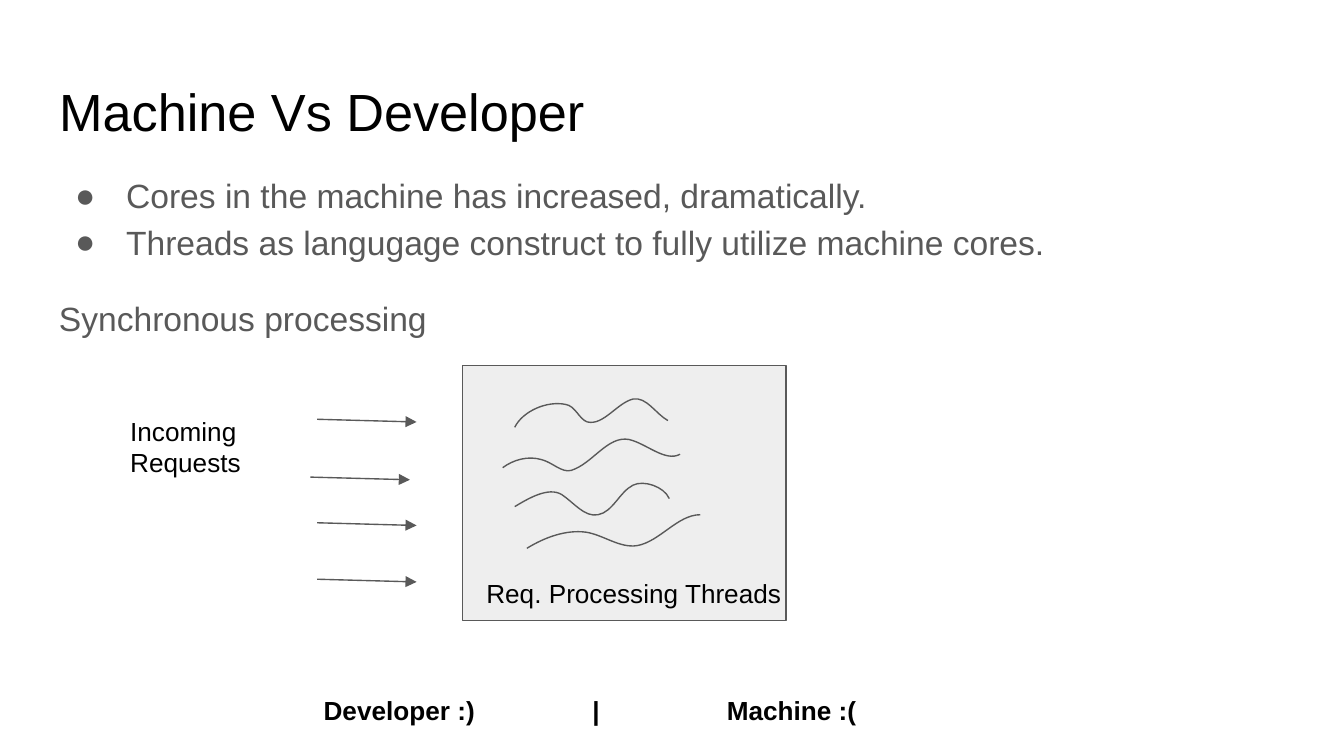
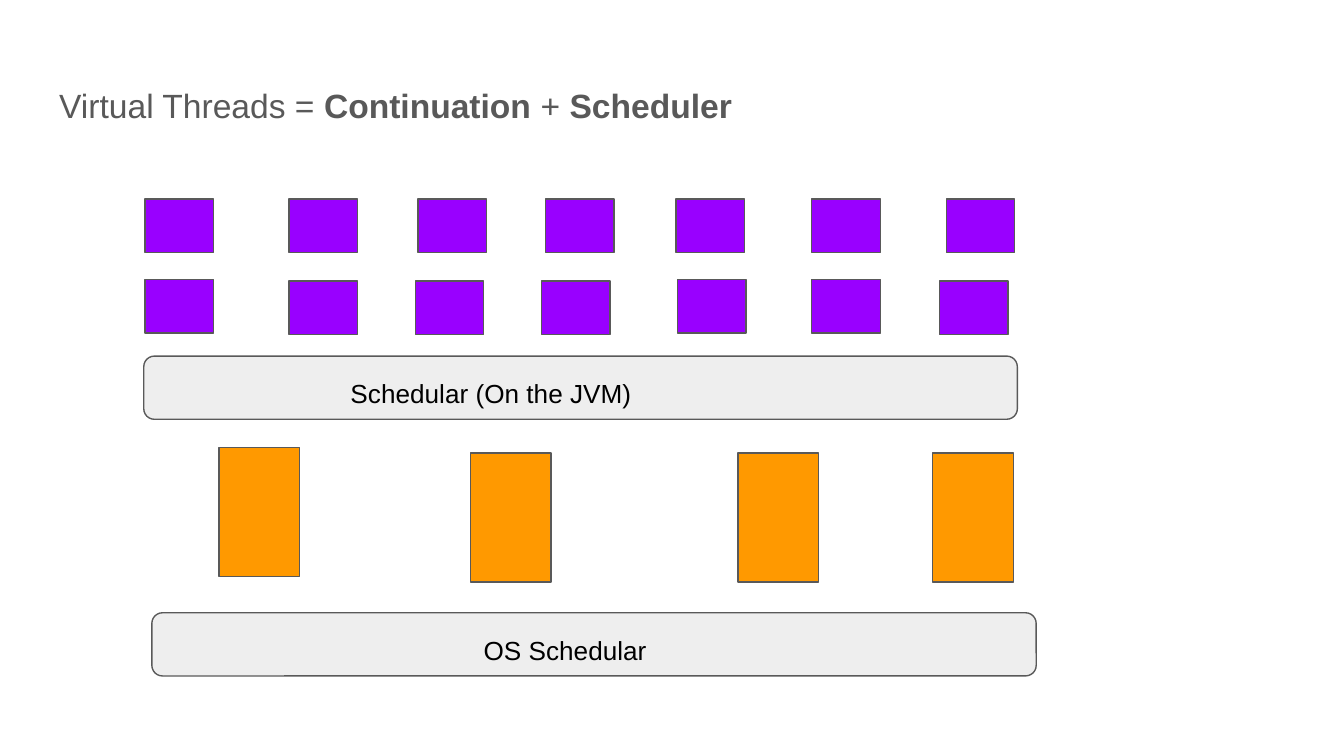
import pptx
import pptx.dml.color
import pptx.enum.shapes
import pptx.enum.text
import pptx.oxml
import pptx.oxml.ns
import pptx.util
from lxml import etree

Inches = pptx.util.Inches
Pt = pptx.util.Pt
qn = pptx.oxml.ns.qn
SHAPES = pptx.enum.shapes.MSO_SHAPE

FONT = "Arial"
BLACK, GREY, PALE = "000000", "595959", "EEEEEE"
PURPLE, ORANGE = "9900FF", "FF9900"
TITLE_BOX = (0.34, 0.49, 9.32, 0.63)

BULLETS = (
    "Cores in the machine has increased, dramatically.",
    "Threads as langugage construct to fully utilize machine cores.",
)
REQUEST_ARROWS = ((0.05, 0), (0, 0.43), (0.05, 0.77), (0.05, 1.19))
THREAD_WAVES = (
    ((0.39, 0.46), (0.45, 0.34), (0.63, 0.26), (0.77, 0.29), (0.84, 0.3), (0.87, 0.4), (0.93, 0.42),
     (1.05, 0.45), (1.15, 0.28), (1.27, 0.25), (1.37, 0.23), (1.44, 0.36), (1.53, 0.41)),
    ((0.39, 1.05), (0.49, 0.99), (0.64, 0.9), (0.74, 0.96), (0.83, 1.02), (0.91, 1.13), (1.01, 1.11),
     (1.12, 1.09), (1.17, 0.94), (1.27, 0.89), (1.35, 0.85), (1.5, 0.9), (1.54, 0.99)),
    ((0.3, 0.76), (0.38, 0.7), (0.49, 0.67), (0.59, 0.7), (0.67, 0.72), (0.74, 0.8), (0.81, 0.78),
     (0.97, 0.73), (1.08, 0.52), (1.24, 0.55), (1.37, 0.58), (1.51, 0.72), (1.62, 0.66)),
    ((0.48, 1.36), (0.61, 1.28), (0.77, 1.22), (0.92, 1.24), (1.05, 1.26), (1.17, 1.36), (1.3, 1.34),
     (1.47, 1.31), (1.6, 1.11), (1.77, 1.11)),
)
VIRTUAL_THREADS = (
    (0, 0), (1.07, 0), (2.03, 0), (2.98, 0), (3.95, 0), (4.96, 0), (5.96, 0),
    (0, 0.6), (1.07, 0.61), (2.01, 0.61), (2.95, 0.61), (3.96, 0.6), (4.96, 0.6), (5.91, 0.61),
)
CARRIER_THREADS = ((0, 0), (1.87, 0.04), (3.86, 0.04), (5.31, 0.04))


def color(code):
    return pptx.dml.color.RGBColor.from_string(code)


def inches(values):
    return [Inches(value) for value in values]


def outline(shape):
    shape.line.color.rgb = color(GREY)
    shape.line.width = Pt(0.75)


def prepare_frame(shape):
    frame = shape.text_frame
    frame.word_wrap = True
    frame.auto_size = pptx.enum.text.MSO_AUTO_SIZE.NONE
    frame.vertical_anchor = pptx.enum.text.MSO_ANCHOR.TOP
    frame.margin_left = frame.margin_right = Inches(0.1)
    frame.margin_top = frame.margin_bottom = Inches(0.1)
    return frame


def add_span(para, text, size, code, bold=False):
    para.alignment = pptx.enum.text.PP_ALIGN.LEFT
    span = para.add_run()
    span.text = text
    span.font.name = FONT
    span.font.size = Pt(size)
    span.font.bold = bold
    span.font.color.rgb = color(code)


def next_para(frame, index):
    return frame.add_paragraph() if index else frame.paragraphs[0]


def add_page(deck, spans, size, code, spacing=1.0):
    page = deck.slides.add_slide(deck.slide_layouts[5])
    title = page.shapes.title
    title.left, title.top, title.width, title.height = inches(TITLE_BOX)
    para = prepare_frame(title).paragraphs[0]
    para.line_spacing = spacing
    for text, bold in spans:
        add_span(para, text, size, code, bold)
    return page


def add_label(page, box, lines, bold=False):
    frame = prepare_frame(page.shapes.add_textbox(*inches(box)))
    for index, line in enumerate(lines):
        add_span(next_para(frame, index), line, 14, BLACK, bold)
    return frame


def add_verdict(page, box):
    frame = add_label(page, box, ("Developer :) \t|\tMachine :(",), bold=True)
    stops = etree.SubElement(frame.paragraphs[0]._p.get_or_add_pPr(), qn("a:tabLst"))
    for position in (2, 3):
        etree.SubElement(stops, qn("a:tab"), pos=str(Inches(position)), algn="l")


def add_block(page, box, fill, kind=SHAPES.RECTANGLE):
    block = page.shapes.add_shape(kind, *inches(box))
    block.shadow.inherit = False
    block.fill.solid()
    block.fill.fore_color.rgb = color(fill)
    outline(block)


def add_arrow(page, left, top):
    arrow = page.shapes.add_connector(
        pptx.enum.shapes.MSO_CONNECTOR.STRAIGHT, *inches((left, top, left + 0.74, top + 0.02)))
    outline(arrow)
    etree.SubElement(arrow.line._get_or_add_ln(), qn("a:tailEnd"), type="triangle")
    etree.SubElement(arrow._element.spPr, qn("a:effectLst"))


def add_wave(page, points):
    start, *rest = [inches(point) for point in points]
    builder = page.shapes.build_freeform(*start)
    builder.add_line_segments(rest, close=False)
    wave = builder.convert_to_shape()
    wave.shadow.inherit = False
    wave.fill.background()
    outline(wave)
    segments = list(wave._element.iter(qn("a:lnTo")))
    for first in range(0, len(segments), 3):
        curve = etree.Element(qn("a:cubicBezTo"))
        segments[first].addprevious(curve)
        for segment in segments[first:first + 3]:
            curve.append(segment[0])
            segment.getparent().remove(segment)


def add_summary(page, box):
    frame = prepare_frame(page.shapes.add_textbox(*inches(box)))
    for index, text in enumerate(BULLETS):
        para = next_para(frame, index)
        para.line_spacing = 1.15
        add_span(para, text, 18, GREY)
        layout = para._p.get_or_add_pPr()
        layout.set("marL", str(Inches(0.5)))
        layout.set("indent", str(Inches(-0.38)))
        tint = etree.SubElement(layout, qn("a:buClr"))
        etree.SubElement(tint, qn("a:srgbClr"), val=GREY)
        etree.SubElement(layout, qn("a:buFont"), typeface=FONT)
        etree.SubElement(layout, qn("a:buChar"), char="●")
    para = frame.add_paragraph()
    para.line_spacing = 1.15
    para.space_before = para.space_after = Pt(16)
    add_span(para, "Synchronous processing", 18, GREY)


def add_requests(page, box):
    left, top, width, height = box
    add_label(page, box, ("Incoming", "Requests"))
    for across, down in REQUEST_ARROWS:
        add_arrow(page, left + width + 0.22 + across, top + 0.13 + down)


def add_thread_panel(page, box):
    left, top, width, height = box
    add_block(page, box, PALE)
    for wave in THREAD_WAVES:
        add_wave(page, [(left + across, top + down) for across, down in wave])
    add_label(page, (left + 0.08, top + 1.48, 6.86, 0.8), ("Req. Processing Threads",))


def add_blocks(page, box, offsets, fill):
    left, top, width, height = box
    for across, down in offsets:
        add_block(page, (left + across, top + down, width, height), fill)


def add_scheduler(page, box, text, indent):
    left, top, width, height = box
    add_block(page, box, PALE, SHAPES.ROUNDED_RECTANGLE)
    add_label(page, (left + indent, top + 0.06, 6.27, 0.73), (text,))


def build_comparison(deck):
    page = add_page(deck, (("Machine Vs Developer", False),), 28, BLACK)
    add_summary(page, (0.34, 1.16, 9.48, 1))
    add_verdict(page, (2.31, 5.07, 7.36, 0.86))
    add_requests(page, (0.87, 2.99, 1.22, 0.9))
    add_thread_panel(page, (3.44, 2.72, 2.41, 1.9))


def build_virtual_threads(deck):
    spans = (("Virtual Threads = ", False), ("Continuation", True), (" + ", False), ("Scheduler", True))
    page = add_page(deck, spans, 18, GREY, 1.15)
    add_blocks(page, (1.08, 1.48, 0.51, 0.4), VIRTUAL_THREADS, PURPLE)
    add_scheduler(page, (1.07, 2.65, 6.5, 0.47), "Schedular (On the JVM)", 1.44)
    add_blocks(page, (1.63, 3.33, 0.6, 0.96), CARRIER_THREADS, ORANGE)
    add_scheduler(page, (1.13, 4.56, 6.58, 0.47), "OS Schedular", 2.37)


def main():
    deck = pptx.Presentation()
    deck.slide_width = Inches(10)
    deck.slide_height = deck.slide_width * 9 // 16
    build_comparison(deck)
    build_virtual_threads(deck)
    deck.save("out.pptx")


if __name__ == "__main__":
    main()
